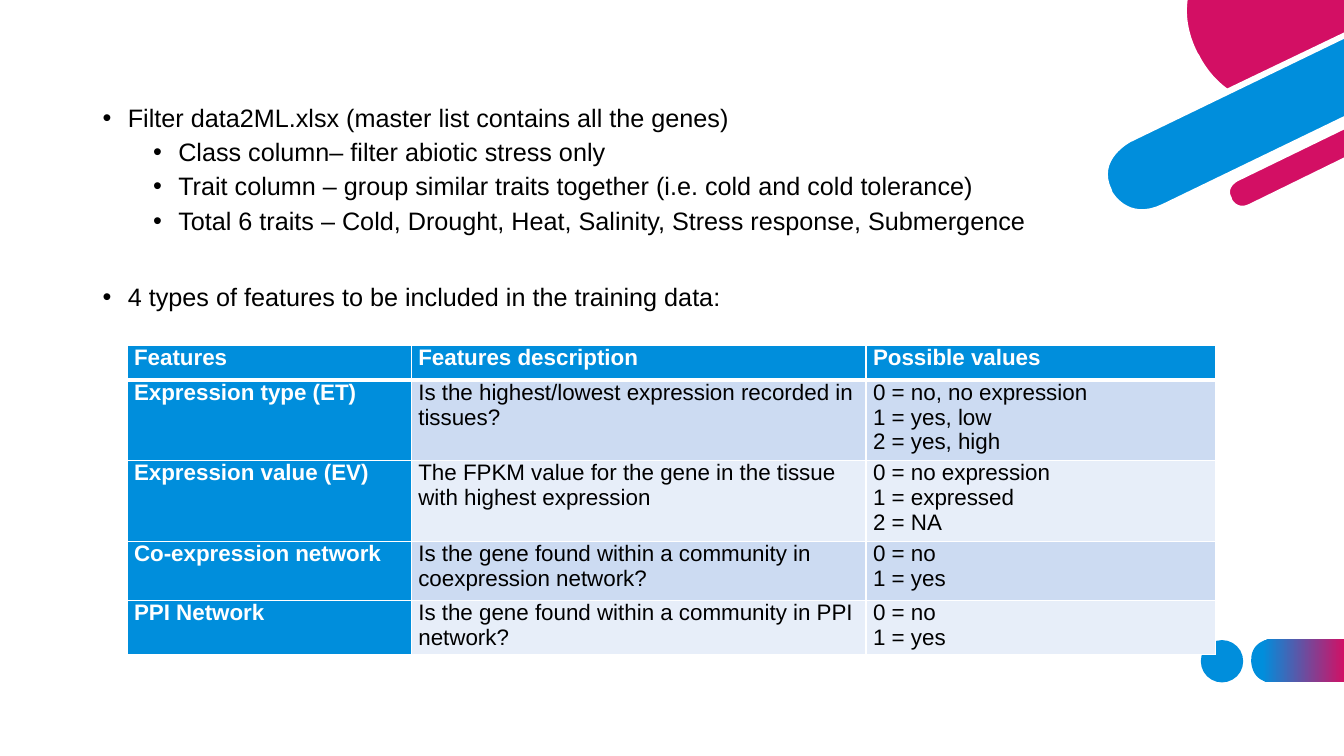
from lxml.etree import SubElement
from pptx import Presentation
from pptx.dml.color import RGBColor
from pptx.enum.shapes import MSO_SHAPE
from pptx.oxml.ns import qn
from pptx.util import Inches, Pt

BLUE, PINK, WHITE, BLACK = "008EDC", "D30F64", "FFFFFF", "000000"
BANDS = ("CCDBF2", "E7EEF9")

BULLETS = [
    (0, 10, "Filter data2ML.xlsx (master list contains all the genes)"),
    (1, 5, "Class column– filter abiotic stress only"),
    (1, 5, "Trait column – group similar traits together (i.e. cold and cold tolerance)"),
    (1, 5, "Total 6 traits – Cold, Drought, Heat, Salinity, Stress response, Submergence"),
    (0, 35, "4 types of features to be included in the training data:"),
]

FEATURES = [
    ("Features", "Features description", "Possible values"),
    ("Expression type (ET)", "Is the highest/lowest expression recorded in tissues?",
     "0 = no, no expression\n1 = yes, low\n2 = yes, high"),
    ("Expression value (EV)", "The FPKM value for the gene in the tissue with highest expression",
     "0 = no expression\n1 = expressed\n2 = NA"),
    ("Co-expression network", "Is the gene found within a community in coexpression network?",
     "0 = no\n1 = yes"),
    ("PPI Network", "Is the gene found within a community in PPI network?",
     "0 = no\n1 = yes"),
]
COL_WIDTHS = (2.82, 4.51, 3.47)
ROW_HEIGHTS = (0.34, 0.62, 0.62, 0.59, 0.41)

PINK_DISC = [(13.4, 0.31), (13.4, -0.05), (11.76, -0.05), (11.76, 0),
             (11.74, 0.15, 11.76, 0.33, 11.86, 0.53), (11.88, 0.56),
             (11.88, 0.56, 11.97, 0.76, 12.17, 0.9)]
BLUE_BAR = [(13.4, 0.33), (11.21, 1.39), (11.21, 1.39, 10.85, 1.57, 11.01, 1.89),
            (11.01, 1.9), (11.01, 1.9, 11.17, 2.22, 11.54, 2.04), (13.4, 1.14)]
PINK_BAR = [(13.4, 1.23), (12.27, 1.78), (12.27, 1.78, 12.13, 1.85, 12.2, 1.97),
            (12.2, 1.98), (12.2, 1.98, 12.26, 2.11, 12.4, 2.04), (13.4, 1.55)]
PILL = [(13.34, 6.34), (12.62, 6.34), (12.62, 6.34, 12.41, 6.34, 12.41, 6.55),
        (12.41, 6.56), (12.41, 6.56, 12.41, 6.77, 12.62, 6.77), (13.34, 6.77)]


def rgb(color):
    """Turn a hex string into a colour."""
    return RGBColor.from_string(color)


def paint(sp, fill, line=None):
    """Give a shape a flat fill and, if wanted, an outline."""
    sp.shadow.inherit = False
    sp.fill.solid()
    sp.fill.fore_color.rgb = rgb(fill)
    if line:
        sp.line.color.rgb = rgb(line)
        sp.line.width = Pt(2.75)
    else:
        sp.line.fill.background()


def flatten(path, steps=16):
    """Turn line and cubic curve steps into plain points."""
    points = []
    for step in path:
        if len(step) == 2:
            points.append(step)
            continue
        ctrl = [points[-1], step[:2], step[2:4], step[4:]]
        for i in range(1, steps + 1):
            t = i / steps
            weights = ((1 - t) ** 3, 3 * t * (1 - t) ** 2, 3 * t * t * (1 - t), t ** 3)
            points.append(tuple(sum(w * c[k] for w, c in zip(weights, ctrl)) for k in (0, 1)))
    return points


def add_outline(s, path, fill, line=None):
    """Draw a closed outline and return it."""
    first, *rest = [(Inches(x), Inches(y)) for x, y in flatten(path)]
    fb = s.shapes.build_freeform(*first)
    fb.add_line_segments(rest, close=True)
    sp = fb.convert_to_shape()
    paint(sp, fill, line)
    return sp


def add_decoration(s):
    """Draw the corner bars, the dot and the gradient pill."""
    for path, fill in ((PINK_DISC, PINK), (BLUE_BAR, BLUE), (PINK_BAR, PINK)):
        add_outline(s, path, fill, line=WHITE)
    dot = s.shapes.add_shape(MSO_SHAPE.OVAL, Inches(11.91), Inches(6.35),
                             Inches(0.42), Inches(0.42))
    paint(dot, BLUE)
    pill = add_outline(s, PILL, BLUE)
    pill.fill.gradient()
    pill.fill.gradient_angle = 0
    for stop, pos, color in zip(pill.fill.gradient_stops, (0.12, 1), (BLUE, PINK)):
        stop.position = pos
        stop.color.rgb = rgb(color)


def write(p, text, size=18, color=BLACK, bold=False):
    """Add a formatted run to a paragraph."""
    r = p.add_run()
    r.text = text
    r.font.name = "Arial"
    r.font.size = Pt(size)
    r.font.bold = bold
    r.font.color.rgb = rgb(color)


def add_bullets(s):
    """Add the bulleted text."""
    tf = s.shapes.add_textbox(Inches(0.92), Inches(1), Inches(11.5), Inches(2.3)).text_frame
    tf.word_wrap = True
    for i, (level, before, text) in enumerate(BULLETS):
        p = tf.add_paragraph() if i else tf.paragraphs[0]
        p.level = level
        p.line_spacing = 0.9
        p.space_before = Pt(before)
        pPr = p._p.get_or_add_pPr()
        pPr.set("marL", str(Inches(0.25 + 0.5 * level)))
        pPr.set("indent", str(Inches(-0.25)))
        SubElement(pPr, qn("a:buFont")).set("typeface", "Arial")
        SubElement(pPr, qn("a:buChar")).set("char", "•")
        write(p, text)


def set_borders(cell, bottom):
    """Give a cell white borders."""
    tcPr = cell._tc.get_or_add_tcPr()
    for i, (side, width) in enumerate((("L", 1), ("R", 1), ("T", 1), ("B", bottom))):
        ln = tcPr.makeelement(qn("a:ln" + side), {"w": str(Pt(width))})
        SubElement(SubElement(ln, qn("a:solidFill")), qn("a:srgbClr")).set("val", WHITE)
        tcPr.insert(i, ln)


def fill_cell(cell, text, fill, color, bold, bottom):
    """Write and format one table cell."""
    cell.margin_left = cell.margin_right = Inches(0.07)
    cell.margin_top = cell.margin_bottom = 0
    cell.fill.solid()
    cell.fill.fore_color.rgb = rgb(fill)
    set_borders(cell, bottom)
    tf = cell.text_frame
    for i, line in enumerate(text.split("\n")):
        p = tf.add_paragraph() if i else tf.paragraphs[0]
        write(p, line, size=16, color=color, bold=bold)


def add_features(s):
    """Add the table of features."""
    table = s.shapes.add_table(len(ROW_HEIGHTS), len(COL_WIDTHS), Inches(1.26), Inches(3.43),
                               Inches(sum(COL_WIDTHS)), Inches(sum(ROW_HEIGHTS))).table
    for col, width in zip(table.columns, COL_WIDTHS):
        col.width = Inches(width)
    for i, (row, height) in enumerate(zip(table.rows, ROW_HEIGHTS)):
        row.height = Inches(height)
        for j, cell in enumerate(row.cells):
            head = i == 0 or j == 0
            fill_cell(cell, FEATURES[i][j], fill=BLUE if head else BANDS[(i - 1) % 2],
                      color=WHITE if head else BLACK, bold=head, bottom=1 if i else 3)


def main():
    """Build the slide and save it."""
    prs = Presentation()
    prs.slide_width, prs.slide_height = Inches(13.33), Inches(7.5)
    s = prs.slides.add_slide(prs.slide_layouts[6])
    add_decoration(s)
    add_bullets(s)
    add_features(s)
    prs.save("out.pptx")


if __name__ == "__main__":
    main()
